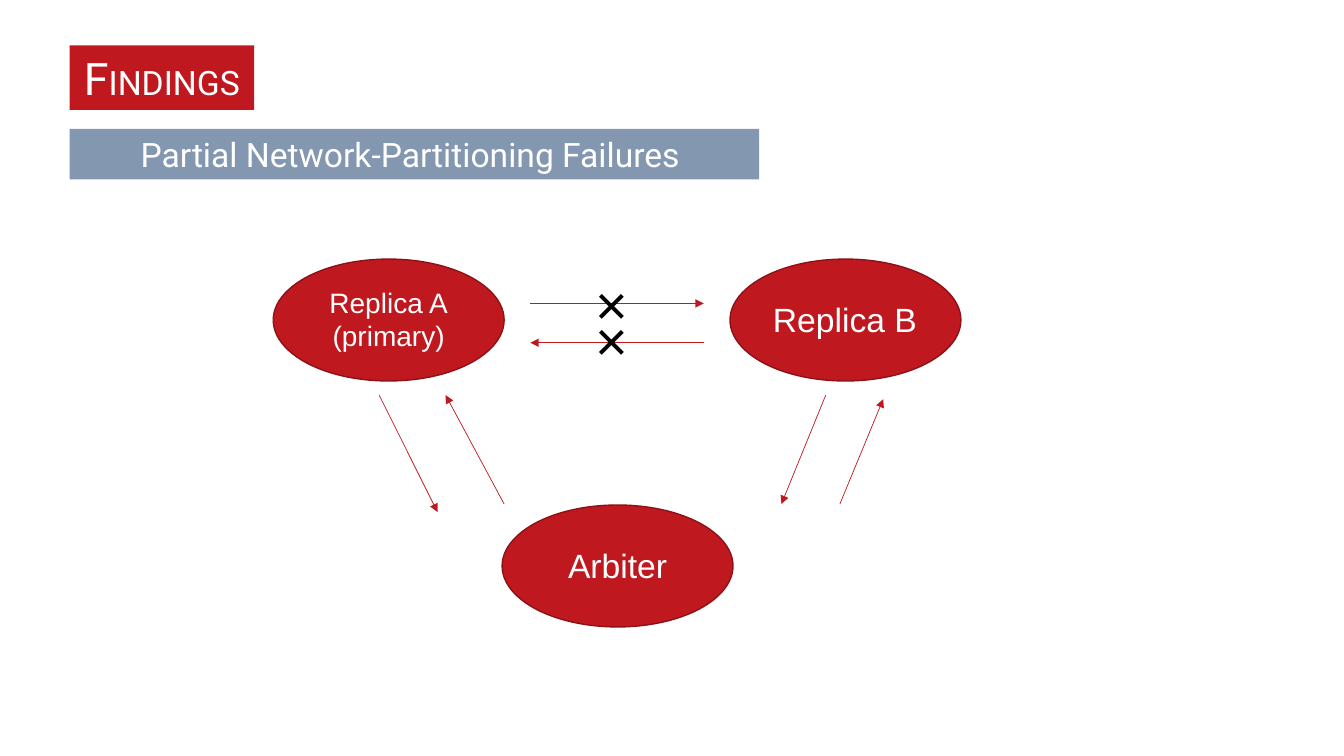
from dataclasses import dataclass
from typing import NamedTuple

import pptx
import pptx.dml.color
import pptx.enum.shapes
import pptx.enum.text
import pptx.oxml
import pptx.oxml.ns
import pptx.util

PX = 9144  # EMU per px, 100 px to the inch


@dataclass(frozen=True)
class Theme:
    red: str = "BF181F"
    edge: str = "8D1217"
    slate: str = "8497B0"
    white: str = "FFFFFF"
    black: str = "000000"
    head: str = "Roboto"
    body: str = "Arial"
    cross: int = 40
    title: int = 32
    large: int = 24
    small: int = 20
    border: float = 1
    arrow: float = 0.5


THEME = Theme()


class Box(NamedTuple):
    left: int
    top: int
    width: int
    height: int


class Label(NamedTuple):
    text: str
    box: Box
    size: int
    font: str = THEME.body
    color: str = THEME.white
    fill: str = ""
    wrap: bool = True


class Node(NamedTuple):
    left: int
    top: int
    label: Label


class Arrow(NamedTuple):
    x1: int
    y1: int
    x2: int
    y2: int


NODE_W, NODE_H = 229, 121

TITLE = Label("F", Box(69, 45, 183, 64), THEME.title, THEME.head, fill=THEME.red)
TOPIC = Label("Partial Network-Partitioning Failures ", Box(69, 128, 684, 50),
              THEME.large, THEME.head, fill=THEME.slate)
NODES = [
    Node(271, 257, Label("Replica A\n(primary)", Box(316, 278, 139, 77),
                         THEME.small, wrap=False)),
    Node(724, 257, Label("Replica B", Box(756, 292, 164, 50),
                         THEME.large, wrap=False)),
    Node(498, 501, Label("Arbiter", Box(553, 536, 119, 50),
                         THEME.large, wrap=False)),
]
ARROWS = [
    Arrow(526, 301, 698, 301),
    Arrow(698, 340, 526, 340),
    Arrow(376, 392, 434, 508),
    Arrow(500, 500, 442, 392),
    Arrow(819, 392, 775, 500),
    Arrow(833, 500, 876, 396),
]
CROSSES = [Label("×", Box(574, top, 65, 77), THEME.cross, color=THEME.black)
           for top in (262, 298)]


def rgb(color: str) -> pptx.dml.color.RGBColor:
    return pptx.dml.color.RGBColor.from_string(color)


def emu(*px: int) -> list[pptx.util.Emu]:
    return [pptx.util.Emu(n * PX) for n in px]


def style(run, label: Label, size: int) -> None:
    run.font.name = label.font
    run.font.size = pptx.util.Pt(size)
    run.font.color.rgb = rgb(label.color)


def write(slide, label: Label):
    """Add a centred text box, filled if the label has a fill, and return it."""
    shape = slide.shapes.add_textbox(*emu(*label.box))
    if label.fill:
        shape.fill.solid()
        shape.fill.fore_color.rgb = rgb(label.fill)
    frame = shape.text_frame
    frame.text = label.text
    frame.word_wrap = label.wrap
    frame.auto_size = pptx.enum.text.MSO_AUTO_SIZE.SHAPE_TO_FIT_TEXT
    for para in frame.paragraphs:
        para.alignment = pptx.enum.text.PP_ALIGN.CENTER
        for run in para.runs:
            style(run, label, label.size)
    return shape


def draw_node(slide, node: Node) -> None:
    oval = slide.shapes.add_shape(pptx.enum.shapes.MSO_SHAPE.OVAL,
                                  *emu(node.left, node.top, NODE_W, NODE_H))
    oval.shadow.inherit = False
    oval.fill.solid()
    oval.fill.fore_color.rgb = rgb(THEME.red)
    oval.line.color.rgb = rgb(THEME.edge)
    oval.line.width = pptx.util.Pt(THEME.border)
    write(slide, node.label)


def draw_arrow(slide, arrow: Arrow) -> None:
    line = slide.shapes.add_connector(
        pptx.enum.shapes.MSO_CONNECTOR.STRAIGHT, *emu(*arrow))
    line.line.color.rgb = rgb(THEME.red)
    line.line.width = pptx.util.Pt(THEME.arrow)
    tip = pptx.oxml.parse_xml(
        f'<a:tailEnd {pptx.oxml.ns.nsdecls("a")} type="triangle"/>')
    line.line._get_or_add_ln().append(tip)
    flat = pptx.oxml.parse_xml(f'<a:effectLst {pptx.oxml.ns.nsdecls("a")}/>')
    line._element.spPr.append(flat)


def main() -> None:
    deck = pptx.Presentation()
    deck.slide_width, deck.slide_height = emu(1333, 750)
    slide = deck.slides.add_slide(deck.slide_layouts[6])

    title = write(slide, TITLE)
    rest = title.text_frame.paragraphs[0].add_run()
    rest.text = "INDINGS"
    style(rest, TITLE, THEME.large)
    write(slide, TOPIC)

    for node in NODES:
        draw_node(slide, node)
    for arrow in ARROWS:
        draw_arrow(slide, arrow)
    for cross in CROSSES:
        write(slide, cross)

    deck.save("out.pptx")


if __name__ == "__main__":
    main()
